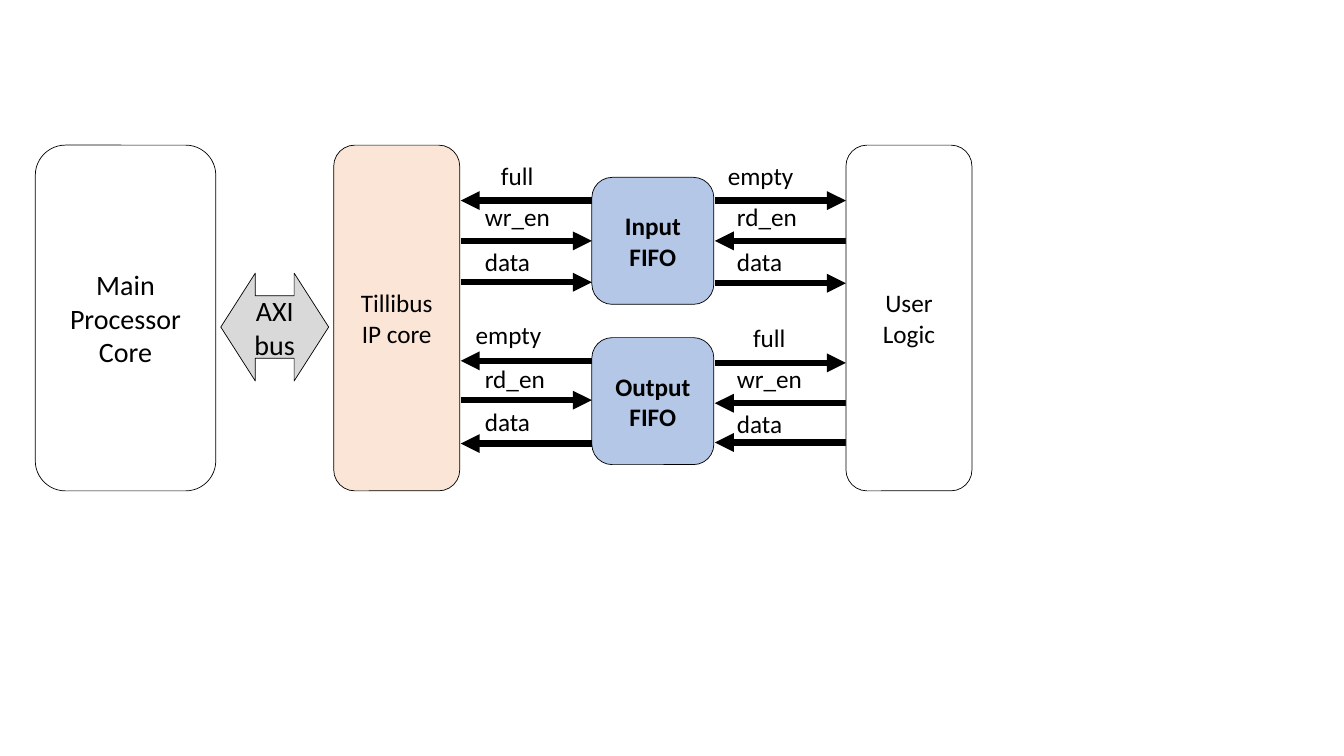
from dataclasses import dataclass

from lxml import etree
from pptx import Presentation
from pptx import util as u
from pptx.dml.color import RGBColor
from pptx.enum import shapes, text
from pptx.oxml import ns


@dataclass(frozen=True)
class Theme:
    font: str = "Calibri"
    ink: str = "000000"
    plain: str = "FFFFFF"
    bridge: str = "FBE5D6"
    fifo: str = "B4C7E7"
    bus: str = "D9D9D9"
    body: int = 18
    large: int = 20
    outline: float = 0.5
    signal: float = 4.5


THEME = Theme()
CELL = u.Inches(0.1)
BLOCK_TOP, BLOCK_HEIGHT = 14.4, 34.3
LABEL_INDENT = {"empty": 0, "full": 2.5}
DEFAULT_INDENT = 0.9
LABEL_WIDTH, LABEL_HEIGHT = 10.7, 4
RIGHTWARD, LEFTWARD = True, False

BRIDGE_SIGNALS = [
    ("full", 15.4, 19.9, LEFTWARD),
    ("wr_en", 19.5, 23.9, RIGHTWARD),
    ("data", 23.9, 28, RIGHTWARD),
    ("empty", 31.2, 35.8, LEFTWARD),
    ("rd_en", 35.6, 39.7, RIGHTWARD),
    ("data", 39.8, 44, LEFTWARD),
]
LOGIC_SIGNALS = [
    ("empty", 15.4, 19.9, RIGHTWARD),
    ("rd_en", 19.5, 23.9, LEFTWARD),
    ("data", 23.9, 28.1, RIGHTWARD),
    ("full", 31.5, 36, RIGHTWARD),
    ("wr_en", 35.6, 40, LEFTWARD),
    ("data", 40, 43.9, LEFTWARD),
]


def cells(*counts):
    return [round(count * CELL) for count in counts]


def write(frame, lines, size, bold=False, align=text.PP_ALIGN.LEFT):
    frame.word_wrap = True
    for index, line in enumerate(lines):
        paragraph = frame.paragraphs[0] if index == 0 else frame.add_paragraph()
        paragraph.alignment = align
        run = paragraph.add_run()
        run.text = line
        run.font.name = THEME.font
        run.font.size = u.Pt(size)
        run.font.bold = bold
        run.font.color.rgb = RGBColor.from_string(THEME.ink)


def add_block(slide, box, lines, fill, size=THEME.body, bold=False,
              kind=shapes.MSO_SHAPE.ROUNDED_RECTANGLE):
    shape = slide.shapes.add_shape(kind, *cells(*box))
    shape.shadow.inherit = False
    shape.fill.solid()
    shape.fill.fore_color.rgb = RGBColor.from_string(fill)
    shape.line.color.rgb = RGBColor.from_string(THEME.ink)
    shape.line.width = u.Pt(THEME.outline)
    shape.text_frame.vertical_anchor = text.MSO_ANCHOR.MIDDLE
    write(shape.text_frame, lines, size, bold, text.PP_ALIGN.CENTER)
    return shape


def add_label(slide, left, top, name):
    indent = LABEL_INDENT.get(name, DEFAULT_INDENT)
    box = cells(left + indent, top, LABEL_WIDTH - indent, LABEL_HEIGHT)
    frame = slide.shapes.add_textbox(*box).text_frame
    write(frame, [name], THEME.body)
    frame.auto_size = text.MSO_AUTO_SIZE.SHAPE_TO_FIT_TEXT


def add_arrow(slide, start, end, row):
    connector = slide.shapes.add_connector(
        shapes.MSO_CONNECTOR.STRAIGHT, *cells(start, row, end, row))
    connector.line.color.rgb = RGBColor.from_string(THEME.ink)
    connector.line.width = u.Pt(THEME.signal)
    properties = connector._element.spPr
    outline = properties.find(ns.qn("a:ln"))
    etree.SubElement(outline, ns.qn("a:tailEnd"), type="triangle")
    etree.SubElement(properties, ns.qn("a:effectLst"))


def add_signals(slide, left, right, label_left, signals):
    for name, label_top, row, rightward in signals:
        start, end = (left, right) if rightward else (right, left)
        add_label(slide, label_left, label_top, name)
        add_arrow(slide, start, end, row)


def main():
    presentation = Presentation()
    presentation.slide_width = u.Inches(13.33)
    presentation.slide_height = u.Inches(7.5)
    slide = presentation.slides.add_slide(presentation.slide_layouts[6])

    for name, top in (("Input", 17.6), ("Output", 33.5)):
        add_block(slide, (58.7, top, 12.1, 12.6), [name, "FIFO"],
                  THEME.fifo, bold=True)
    add_block(slide, (33.1, BLOCK_TOP, 12.5, BLOCK_HEIGHT),
              ["Tillibus", "IP core"], THEME.bridge)
    add_block(slide, (3.5, BLOCK_TOP, 17.9, BLOCK_HEIGHT),
              ["Main", "Processor", "Core"], THEME.plain, THEME.large)
    bus = add_block(slide, (21.9, 27.1, 10.7, 10.7), ["AXI bus"], THEME.bus,
                    THEME.large, kind=shapes.MSO_SHAPE.LEFT_RIGHT_ARROW)
    bus.adjustments[0], bus.adjustments[1] = 0.58, 0.32

    add_signals(slide, 45.7, 58.7, 46.2, BRIDGE_SIGNALS)
    add_signals(slide, 70.9, 83.9, 71.2, LOGIC_SIGNALS)
    add_block(slide, (83.9, BLOCK_TOP, 12.5, BLOCK_HEIGHT),
              ["User", "Logic"], THEME.plain)

    presentation.save("out.pptx")


if __name__ == "__main__":
    main()
